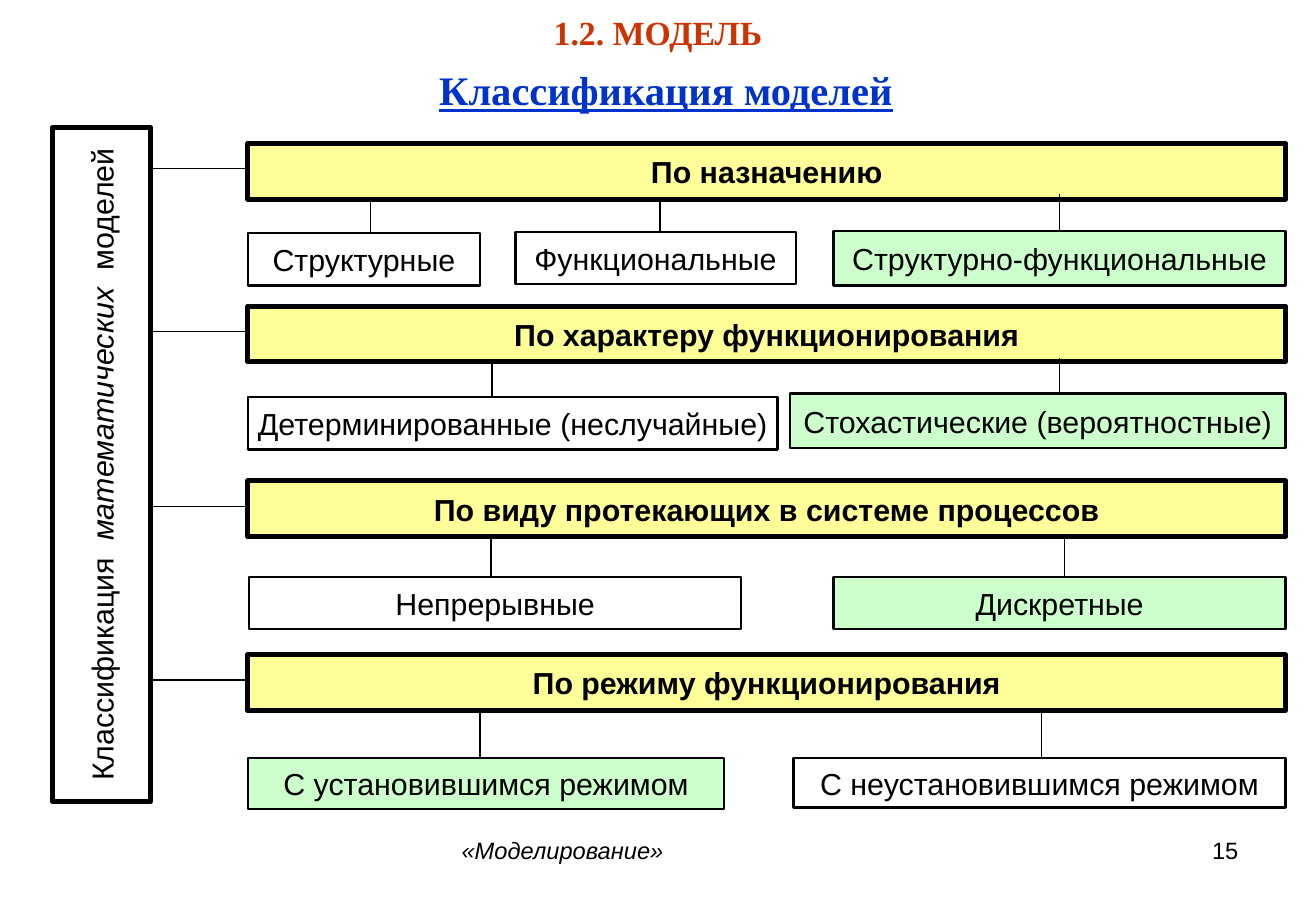
from lxml import etree
from pptx import Presentation, util as u
from pptx.dml.color import RGBColor
from pptx.enum import shapes, text
from pptx.oxml.ns import qn

PX = 9144  # 100 px to the inch
SANS, SERIF = "Arial", "Times New Roman"
BLACK, WHITE, YELLOW, GREEN = "000000", "FFFFFF", "FFFF99", "CCFFCC"
LEFT, RIGHT, CENTER = text.PP_ALIGN.LEFT, text.PP_ALIGN.RIGHT, text.PP_ALIGN.CENTER

BAR_LEFT, BAR_WIDTH, BAR_HEIGHT = 204, 854, 46
SPINE = (-194, 342, 555, 81)  # before the quarter turn
SPINE_RIGHT = 124
SPINE_RUNS = [("Классификация  ", {}), ("математических", {"italic": True}), ("  моделей", {})]

# criterion, bar top, link y, link width,
# kinds: (label, left, top, width, height, fill, stem x, stem top)
CRITERIA = [
    ("По назначению", 118, 139, 0.75, [
        ("Структурные", 204, 192, 191, 43, WHITE, 305, 165),
        ("Функциональные", 424, 191, 231, 43, WHITE, 543, 164),
        ("Структурно-функциональные", 686, 190, 372, 45, GREEN, 872, 160)]),
    ("По характеру функционирования", 252, 273, 1, [
        ("Детерминированные (неслучайные)", 204, 327, 436, 43, WHITE, 405, 300),
        ("Стохастические (вероятностные)", 650, 324, 408, 45, GREEN, 872, 295)]),
    ("По виду протекающих в системе процессов", 396, 417, 1, [
        ("Непрерывные", 205, 475, 405, 43, WHITE, 404, 444),
        ("Дискретные", 686, 475, 372, 43, GREEN, 876, 444)]),
    ("По режиму функционирования", 539, 560, 1, [
        ("С установившимся режимом", 204, 624, 392, 42, GREEN, 395, 586),
        ("С неустановившимся режимом", 653, 624, 405, 41, WHITE, 857, 587)]),
]

# words, place, alignment, line spacing, font
CAPTIONS = [
    ("1.2. МОДЕЛЬ", (21, 11, 1041, 38), CENTER, 0.8,
     dict(name=SERIF, size=20, color="CC3300", bold=True)),
    ("Классификация моделей", (36, 49, 1024, 50), CENTER, 1,
     dict(name=SERIF, size=24, color="0033CC", bold=True, underline=True)),
    ("«Моделирование»", (370, 683, 343, 52), LEFT, 1, dict(size=14, italic=True)),
    ("15", (776, 683, 253, 52), RIGHT, 1, dict(size=14)),
]


def px(*lengths):
    return [round(length * PX) for length in lengths]


def rgb(code):
    return RGBColor.from_string(code)


def add_span(para, words, name=SANS, size=18, color=BLACK, **styles):
    span = para.add_run()
    span.text = words
    span.font.name = name
    span.font.size = u.Pt(size)
    span.font.color.rgb = rgb(color)
    for style, value in styles.items():
        setattr(span.font, style, value)


def add_box(page, place, fill, line_width, runs):
    box = page.shapes.add_shape(shapes.MSO_SHAPE.RECTANGLE, *px(*place))
    box.shadow.inherit = False
    box.fill.solid()
    box.fill.fore_color.rgb = rgb(fill)
    box.line.color.rgb = rgb(BLACK)
    box.line.width = u.Pt(line_width)
    frame = box.text_frame
    frame.word_wrap = True
    frame.vertical_anchor = text.MSO_ANCHOR.MIDDLE
    frame.margin_left = frame.margin_right = px(2)[0]
    frame.margin_top = frame.margin_bottom = px(1)[0]
    para = frame.paragraphs[0]
    para.alignment = CENTER
    for words, styles in runs:
        add_span(para, words, **styles)
    return box


def add_line(page, ends, width=1):
    line = page.shapes.add_connector(shapes.MSO_CONNECTOR.STRAIGHT, *px(*ends))
    line.line.color.rgb = rgb(BLACK)
    line.line.width = u.Pt(width)
    etree.SubElement(line._element.spPr, qn("a:effectLst"))


def add_caption(page, words, place, alignment, spacing, font):
    box = page.shapes.add_textbox(*px(*place))
    box.text_frame.word_wrap = True
    para = box.text_frame.paragraphs[0]
    para.alignment = alignment
    para.line_spacing = spacing
    add_span(para, words, **font)


def main():
    deck = Presentation()
    deck.slide_width, deck.slide_height = px(1083, 750)
    page = deck.slides.add_slide(deck.slide_layouts[6])

    add_box(page, SPINE, WHITE, 3, SPINE_RUNS).rotation = 270
    for criterion, top, link_y, link_width, kinds in CRITERIA:
        bar = (BAR_LEFT, top, BAR_WIDTH, BAR_HEIGHT)
        add_box(page, bar, YELLOW, 3, [(criterion, {"bold": True})])
        add_line(page, (BAR_LEFT, link_y, SPINE_RIGHT, link_y), link_width)
        for label, left, kind_top, width, height, fill, stem_x, stem_top in kinds:
            add_box(page, (left, kind_top, width, height), fill, 1.5, [(label, {})])
            add_line(page, (stem_x, kind_top, stem_x, stem_top))
    for caption in CAPTIONS:
        add_caption(page, *caption)

    deck.save("out.pptx")


if __name__ == "__main__":
    main()
